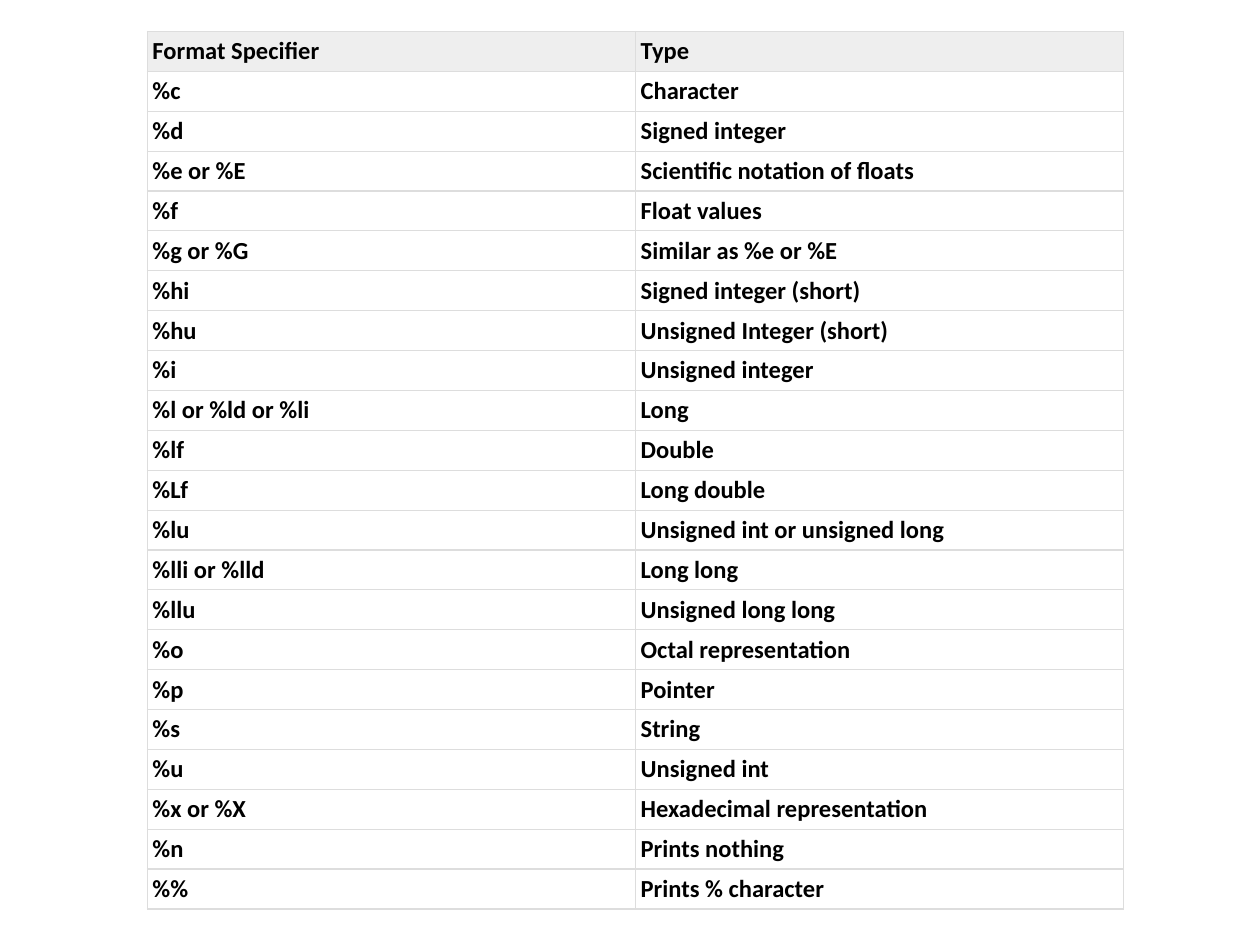
from lxml.etree import SubElement as Sub
from pptx import Presentation
from pptx.dml.color import RGBColor
from pptx.enum.text import MSO_ANCHOR as Anchor
from pptx.oxml.ns import qn
from pptx.util import Inches, Pt

BLACK = RGBColor(0x00, 0x00, 0x00)
GREY = RGBColor(0xEE, 0xEE, 0xEE)
RULE = RGBColor(0xDD, 0xDD, 0xDD)
FONT = "Calibri"
PAD = Inches(0.04)

ROWS = [
    ("Format Specifier", "Type"),
    ("%c", "Character"),
    ("%d", "Signed integer"),
    ("%e or %E", "Scientific notation of floats"),
    ("%f", "Float values"),
    ("%g or %G", "Similar as %e or %E"),
    ("%hi", "Signed integer (short)"),
    ("%hu", "Unsigned Integer (short)"),
    ("%i", "Unsigned integer"),
    ("%l or %ld or %li", "Long"),
    ("%lf", "Double"),
    ("%Lf", "Long double"),
    ("%lu", "Unsigned int or unsigned long"),
    ("%lli or %lld", "Long long"),
    ("%llu", "Unsigned long long"),
    ("%o", "Octal representation"),
    ("%p", "Pointer"),
    ("%s", "String"),
    ("%u", "Unsigned int"),
    ("%x or %X", "Hexadecimal representation"),
    ("%n", "Prints nothing"),
    ("%%", "Prints % character"),
]


def add_rules(cell):
    props = cell._tc.get_or_add_tcPr()
    for side in ("lnL", "lnR", "lnT", "lnB"):
        line = Sub(props, qn(f"a:{side}"), w=str(Pt(0.75)))
        fill = Sub(line, qn("a:solidFill"))
        Sub(fill, qn("a:srgbClr"), val=str(RULE))


def fill_cell(cell, text, head):
    cell.margin_left = cell.margin_right = PAD
    cell.margin_top = cell.margin_bottom = PAD
    cell.vertical_anchor = Anchor.MIDDLE
    add_rules(cell)
    if head:
        cell.fill.solid()
        cell.fill.fore_color.rgb = GREY
    else:
        cell.fill.background()
    run = cell.text_frame.paragraphs[0].add_run()
    run.text = text
    font = run.font
    font.name, font.size, font.bold = FONT, Pt(14), True
    font.color.rgb = BLACK


def add_grid(slide, left, top, width, height):
    frame = slide.shapes.add_table(len(ROWS), len(ROWS[0]), left, top, width, height)
    table = frame.table
    table.horz_banding = False
    for r, row in enumerate(ROWS):
        for c, text in enumerate(row):
            fill_cell(table.cell(r, c), text, r == 0)


def main():
    deck = Presentation()
    deck.slide_width, deck.slide_height = Inches(10), Inches(7.5)
    slide = deck.slides.add_slide(deck.slide_layouts[6])
    add_grid(slide, Inches(1.17), Inches(0.25), Inches(7.75), Inches(6.91))
    deck.save("out.pptx")


if __name__ == "__main__":
    main()
